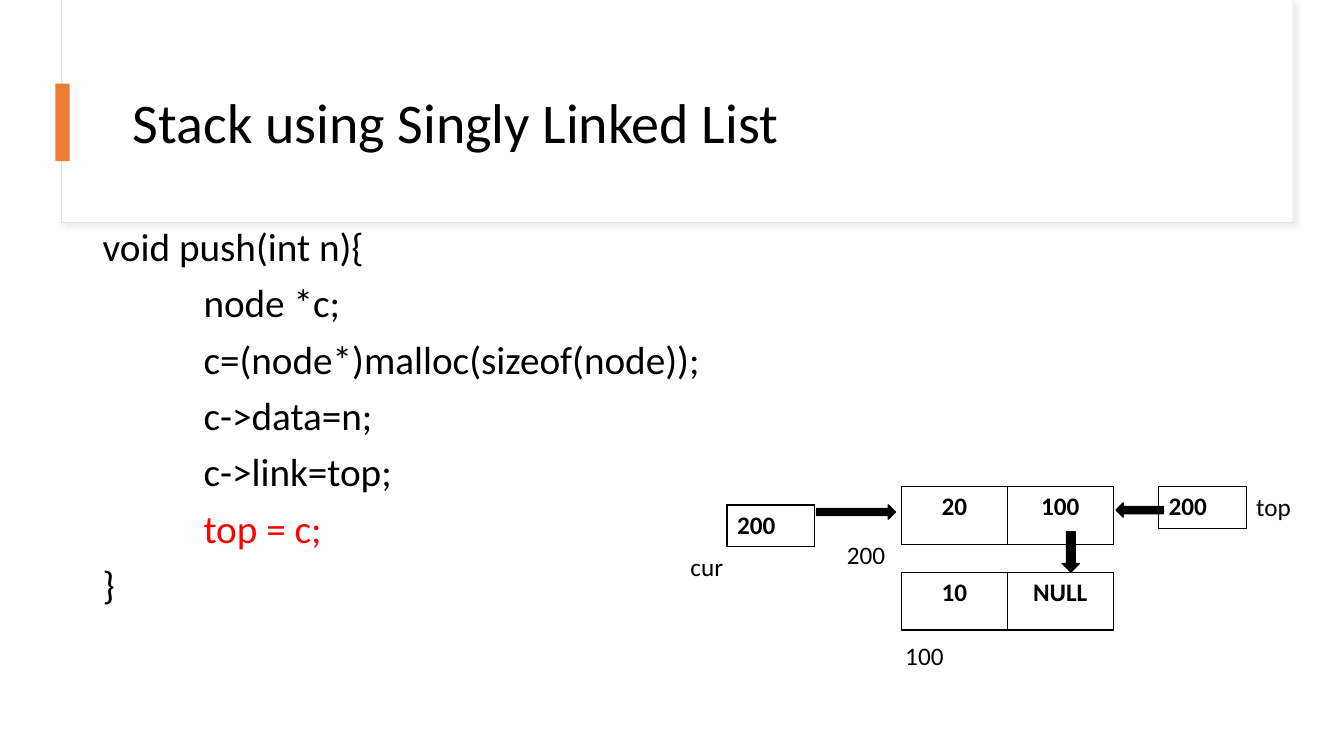
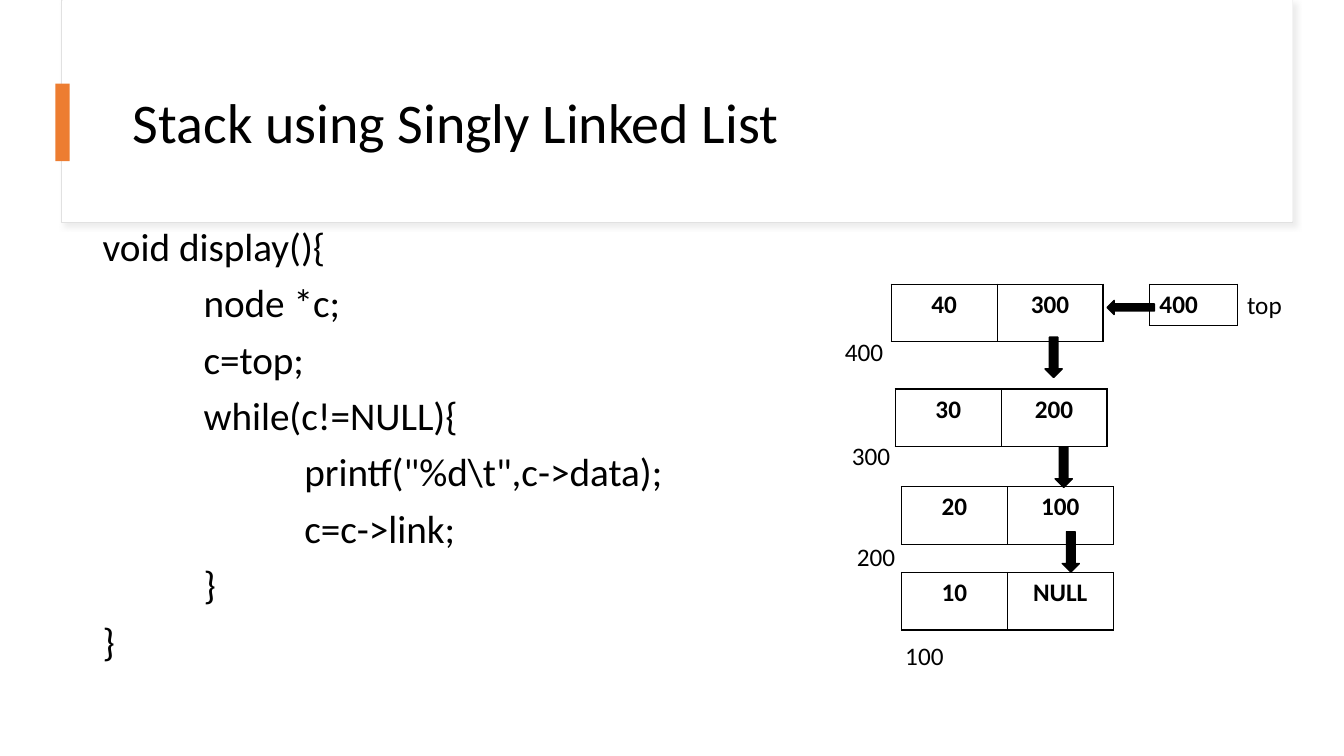
from lxml import etree
from pptx import Presentation
from pptx.dml.color import RGBColor
from pptx.enum.shapes import MSO_SHAPE
from pptx.enum.text import MSO_ANCHOR, MSO_AUTO_SIZE, PP_ALIGN
from pptx.oxml import parse_xml
from pptx.oxml.ns import qn
from pptx.util import Inches, Pt

RECTANGLE = MSO_SHAPE.RECTANGLE
RIGHT_ARROW = MSO_SHAPE.RIGHT_ARROW
MIDDLE = MSO_ANCHOR.MIDDLE
FIT_TEXT = MSO_AUTO_SIZE.SHAPE_TO_FIT_TEXT
LEFT, CENTER = PP_ALIGN.LEFT, PP_ALIGN.CENTER

COLORS = {
    "text": "000000",
    "paper": "FFFFFF",
    "frame": "E1E1E1",
    "shadow": "D9D9D9",
    "accent": "ED7D31",
    "highlight": "FF0000",
}
TITLE = "Stack using Singly Linked List"
TITLE_FONT = {"name": "Calibri", "size": Pt(40), "bold": False}
CODE_FONT = {"name": "Calibri", "size": Pt(28), "bold": False}
LABEL_FONT = {"name": "Calibri", "size": Pt(18), "bold": False}
VALUE_FONT = {"name": "Calibri", "size": Pt(18), "bold": True}
CODE_SPACING = {"line_spacing": 0.9, "space_before": Pt(10)}
PLAIN_TABLE = {"first_row": False, "horz_banding": False}

FIELD_WIDTH, NODE_HEIGHT = 1.05, 0.57
POINTER_WIDTH, POINTER_HEIGHT = 0.87, 0.41
DOWN, TO_LEFT = 90, 180
A_NS = "http://schemas.openxmlformats.org/drawingml/2006/main"
FRAME_SHADOW = (
    f'<a:effectLst xmlns:a="{A_NS}"><a:outerShdw blurRad="50800" dist="38100" '
    f'dir="2700000" algn="tl" rotWithShape="0"><a:srgbClr val="{COLORS["shadow"]}">'
    '<a:alpha val="50000"/></a:srgbClr></a:outerShdw></a:effectLst>'
)

PUSH_CODE = [
    (0, "void push(int n){", "text"),
    (1, "node *c;", "text"),
    (1, "c=(node*)malloc(sizeof(node));", "text"),
    (1, "c->data=n;", "text"),
    (1, "c->link=top;", "text"),
    (1, "top = c;", "highlight"),
    (0, "}", "text"),
]
DISPLAY_CODE = [
    (0, "void display(){", "text"),
    (1, "node *c;", "text"),
    (1, "c=top;", "text"),
    (1, "while(c!=NULL){", "text"),
    (2, 'printf("%d\\t",c->data);', "text"),
    (2, "c=c->link;", "text"),
    (1, "}", "text"),
    (0, "}", "text"),
]


def color(key):
    return RGBColor.from_string(COLORS[key])


def box(*lengths):
    return [Inches(length) for length in lengths]


def apply(target, values):
    for attribute, value in values.items():
        setattr(target, attribute, value)


def add_run(paragraph, text, font, color_key="text"):
    run = paragraph.add_run()
    run.text = text
    apply(run.font, font)
    run.font.color.rgb = color(color_key)


def add_block(slide, kind, area, fill, line=None, weight=1, rotation=0):
    block = slide.shapes.add_shape(kind, *box(*area))
    block.shadow.inherit = False
    block.rotation = rotation
    block.fill.solid()
    block.fill.fore_color.rgb = color(fill)
    if line:
        block.line.color.rgb = color(line)
        block.line.width = Pt(weight)
    else:
        block.line.fill.background()
    return block


def add_header(slide):
    frame = add_block(slide, RECTANGLE, (0.61, 0, 12.21, 2.21), "paper", "frame", 0.75)
    properties = frame.element.spPr
    properties.replace(properties.find(qn("a:effectLst")), parse_xml(FRAME_SHADOW))
    add_block(slide, RECTANGLE, (0.62, 0, 12.2, 2.2), "paper")
    title = slide.shapes.add_textbox(*box(1.22, 0.6, 11.12, 1.29)).text_frame
    apply(title, {"word_wrap": True, "vertical_anchor": MIDDLE})
    title.paragraphs[0].line_spacing = 0.9
    add_run(title.paragraphs[0], TITLE, TITLE_FONT)
    add_block(slide, RECTANGLE, (0.55, 0.83, 0.14, 0.77), "accent")


def add_code(slide, lines):
    code = slide.shapes.add_textbox(*box(0.92, 2.21, 6.25, 4.97)).text_frame
    code.word_wrap = True
    for index, (depth, text, color_key) in enumerate(lines):
        paragraph = code.add_paragraph() if index else code.paragraphs[0]
        apply(paragraph, CODE_SPACING)
        paragraph._p.get_or_add_pPr().set("marL", str(Inches(depth)))
        add_run(paragraph, text, CODE_FONT, color_key)


def add_label(slide, text, left, top, width=0.59):
    label = slide.shapes.add_textbox(*box(left, top, width, 0.4)).text_frame
    apply(label, {"word_wrap": False, "auto_size": FIT_TEXT})
    add_run(label.paragraphs[0], text, LABEL_FONT)


def add_borders(cell):
    properties = cell._tc.get_or_add_tcPr()
    for index, side in enumerate(("lnL", "lnR", "lnT", "lnB")):
        border = etree.Element(qn(f"a:{side}"), w=str(Pt(1)))
        fill = etree.SubElement(border, qn("a:solidFill"))
        etree.SubElement(fill, qn("a:srgbClr"), val=COLORS["text"])
        properties.insert(index, border)


def add_cells(slide, values, left, top, width, height, align, fill=None):
    area = box(left, top, width * len(values), height)
    table = slide.shapes.add_table(1, len(values), *area).table
    apply(table, PLAIN_TABLE)
    for column, value in enumerate(values):
        table.columns[column].width = Inches(width)
        cell = table.cell(0, column)
        if fill:
            cell.fill.solid()
            cell.fill.fore_color.rgb = color(fill)
        else:
            cell.fill.background()
        add_borders(cell)
        paragraph = cell.text_frame.paragraphs[0]
        paragraph.alignment = align
        add_run(paragraph, value, VALUE_FONT)


def add_node(slide, data, link, left, top):
    add_cells(slide, (data, link), left, top, FIELD_WIDTH, NODE_HEIGHT, CENTER)


def add_pointer(slide, address, left, top):
    add_cells(slide, (address,), left, top, POINTER_WIDTH, POINTER_HEIGHT, LEFT, "paper")


def add_arrow(slide, left, top, width=0.4, height=0.17, rotation=DOWN):
    area = (left, top, width, height)
    add_block(slide, RIGHT_ARROW, area, "text", "text", rotation=rotation)


def add_top_pointer(slide, address, left, top):
    add_pointer(slide, address, left, top)
    add_label(slide, "top", left + POINTER_WIDTH, top, 0.55)
    add_arrow(slide, left - 0.42, top + 0.16, 0.47, 0.14, TO_LEFT)


def add_lower_nodes(slide):
    add_node(slide, "10", "NULL", 8.94, 5.68)
    add_node(slide, "20", "100", 8.94, 4.83)
    add_label(slide, "100", 8.88, 6.3)
    add_arrow(slide, 10.42, 5.39)


def add_base(presentation, code):
    slide = presentation.slides.add_slide(presentation.slide_layouts[6])
    add_header(slide)
    add_code(slide, code)
    add_lower_nodes(slide)
    return slide


def add_push_slide(presentation):
    slide = add_base(presentation, PUSH_CODE)
    add_top_pointer(slide, "200", 11.49, 4.83)
    add_pointer(slide, "200", 7.21, 5.01)
    add_label(slide, "cur", 6.75, 5.42, 0.53)
    add_arrow(slide, 8.1, 5.01, 0.78, 0.14, 0)
    add_label(slide, "200", 8.3, 5.3)


def add_display_slide(presentation):
    slide = add_base(presentation, DISPLAY_CODE)
    add_top_pointer(slide, "400", 11.4, 2.82)
    add_node(slide, "30", "200", 8.88, 3.86)
    add_node(slide, "40", "300", 8.84, 2.82)
    add_arrow(slide, 10.35, 4.55)
    add_arrow(slide, 10.25, 3.46)
    for address, left, top in (("400", 8.28, 3.29), ("300", 8.35, 4.32), ("200", 8.4, 5.32)):
        add_label(slide, address, left, top)


def main():
    presentation = Presentation()
    presentation.slide_width = Inches(13.33)
    presentation.slide_height = Inches(7.5)
    add_push_slide(presentation)
    add_display_slide(presentation)
    presentation.save("out.pptx")


if __name__ == "__main__":
    main()
